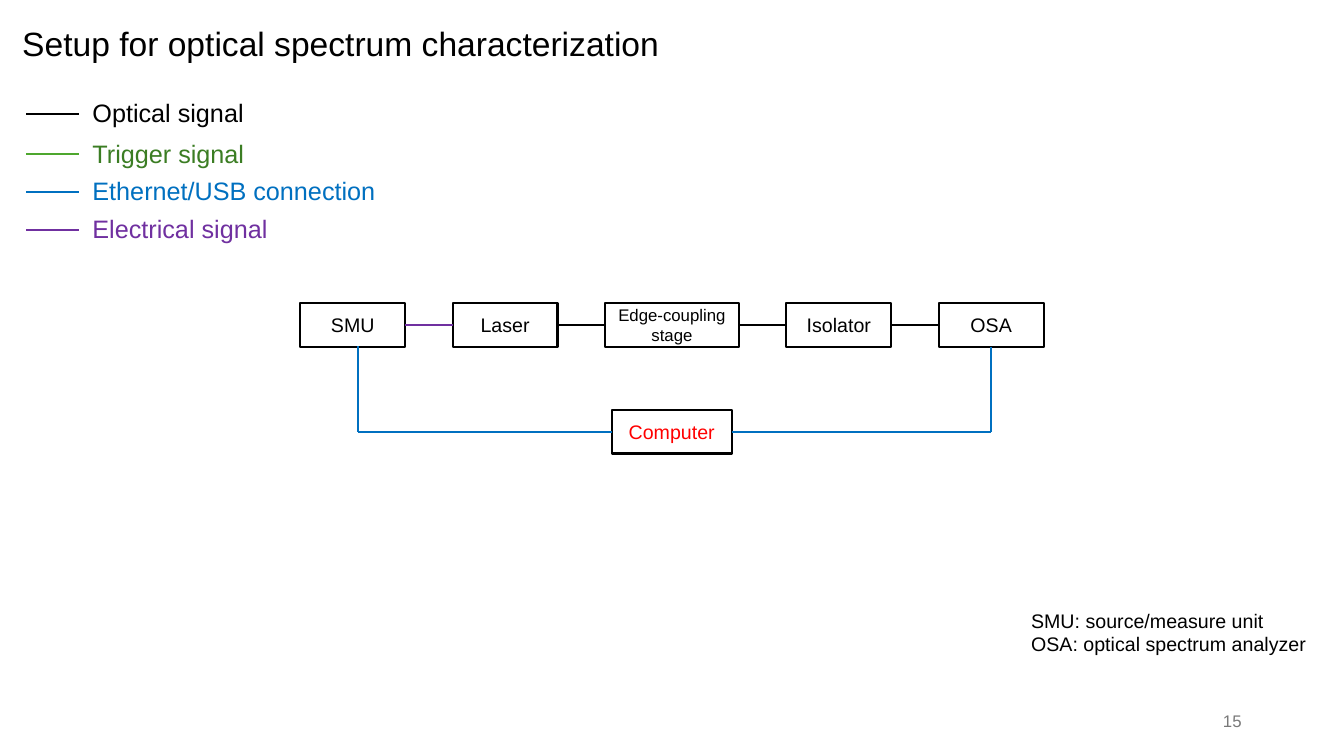
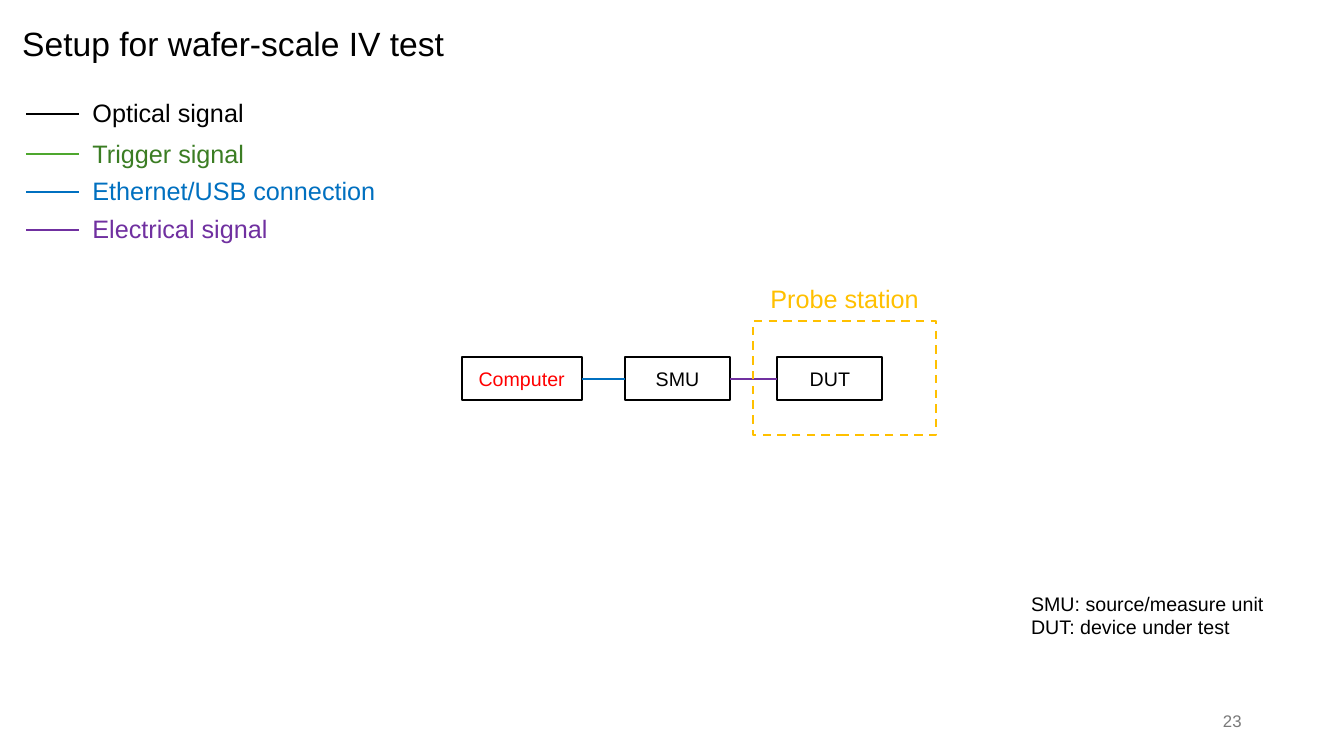
from lxml import etree
from pptx import Presentation
from pptx.dml.color import RGBColor
from pptx.enum.dml import MSO_LINE
from pptx.enum.shapes import MSO_CONNECTOR, MSO_SHAPE
from pptx.enum.text import MSO_ANCHOR, PP_ALIGN
from pptx.oxml.ns import qn
from pptx.util import Pt

BLACK = RGBColor(0x00, 0x00, 0x00)
GREY = RGBColor(0x79, 0x79, 0x79)
GREEN = RGBColor(0x4E, 0xA7, 0x2E)
DARK_GREEN = RGBColor(0x3B, 0x7D, 0x23)
BLUE = RGBColor(0x00, 0x70, 0xC0)
PURPLE = RGBColor(0x70, 0x30, 0xA0)
RED = RGBColor(0xFF, 0x00, 0x00)
AMBER = RGBColor(0xFF, 0xC0, 0x00)

FONT = "Arial"
STRAIGHT = MSO_CONNECTOR.STRAIGHT
RECTANGLE = MSO_SHAPE.RECTANGLE
LEFT, CENTER, RIGHT = PP_ALIGN.LEFT, PP_ALIGN.CENTER, PP_ALIGN.RIGHT
TOP, MIDDLE = MSO_ANCHOR.TOP, MSO_ANCHOR.MIDDLE
LEFT_SIDE, BOTTOM_SIDE, RIGHT_SIDE = 1, 2, 3

LINE_WIDTH = Pt(1.5)
BLOCK_HEIGHT = 31
DEVICE = 75
STAGE = 95.8
COMPUTER = 85.7
GAP = 33.8

# line y, label, line colour, label colour
LEGEND = [
    (81.4, "Optical signal", BLACK, BLACK),
    (110.2, "Trigger signal", GREEN, DARK_GREEN),
    (137.3, "Ethernet/USB connection", BLUE, BLUE),
    (164.4, "Electrical signal", PURPLE, PURPLE),
]

# Each chain: left, top, blocks; each block: name, width, gap and wire to the next
SETUPS = [
    {
        "title": "Setup for optical spectrum characterization",
        "number": "15",
        "terms": ["SMU: source/measure unit", "OSA: optical spectrum analyzer"],
        "terms_top": 431.3,
        "chains": [
            (214.5, 216.7, [
                ("SMU", DEVICE, GAP, PURPLE),
                ("Laser", DEVICE, GAP, BLACK),
                ("Edge-coupling stage", STAGE, GAP, BLACK),
                ("Isolator", DEVICE, GAP, BLACK),
                ("OSA", DEVICE, 0, None),
            ]),
            (437, 293, [("Computer", COMPUTER, 0, None)]),
        ],
    },
    {
        "title": "Setup for wafer-scale IV test",
        "number": "23",
        "terms": ["SMU: source/measure unit", "DUT: device under test"],
        "terms_top": 419,
        "chains": [
            (329.8, 255, [
                ("Computer", COMPUTER, 31, BLUE),
                ("SMU", DEVICE, GAP, PURPLE),
                ("DUT", DEVICE, 0, None),
            ]),
        ],
    },
]


def write(shape, lines, size, color=BLACK, align=LEFT, anchor=TOP):
    frame = shape.text_frame
    frame.word_wrap = True
    frame.vertical_anchor = anchor
    frame.text = "\n".join(lines)
    for paragraph in frame.paragraphs:
        paragraph.alignment = align
        for name, value in {"name": FONT, "size": Pt(size)}.items():
            setattr(paragraph.font, name, value)
        paragraph.font.color.rgb = color


def wire(slide, color, start, end):
    """Draw a line; each end is a point (x, y) or a block with its side (shape, site)."""
    points = [p if isinstance(p[0], (int, float)) else (0, 0) for p in (start, end)]
    line = slide.shapes.add_connector(STRAIGHT, *[Pt(v) for p in points for v in p])
    for target, connect in ((start, line.begin_connect), (end, line.end_connect)):
        if not isinstance(target[0], (int, float)):
            connect(*target)
    line.line.color.rgb = color
    line.line.width = LINE_WIDTH
    etree.SubElement(line._element.spPr, qn("a:effectLst"))


prs = Presentation()
prs.slide_width, prs.slide_height = Pt(960), Pt(540)
blank = prs.slide_layouts[6]

drawn = []
for setup in SETUPS:
    slide = prs.slides.add_slide(blank)
    shapes = slide.shapes
    title = shapes.add_textbox(Pt(8.8), Pt(13), Pt(660), Pt(36))
    write(title, [setup["title"]], 24)
    number = shapes.add_textbox(Pt(678), Pt(500.5), Pt(216), Pt(28.8))
    write(number, [setup["number"]], 12, GREY, RIGHT, MIDDLE)

    for y, label, line_color, label_color in LEGEND:
        wire(slide, line_color, (18.7, y), (56.2, y))
        signal = shapes.add_textbox(Pt(59), Pt(y - 15.3), Pt(219), Pt(29))
        write(signal, [label], 18, label_color)

    blocks = {}
    for left, top, chain in setup["chains"]:
        previous = incoming = None
        for name, width, gap, outgoing in chain:
            block = shapes.add_shape(RECTANGLE, Pt(left), Pt(top), Pt(width), Pt(BLOCK_HEIGHT))
            block.shadow.inherit = False
            block.fill.background()
            block.line.color.rgb = BLACK
            block.line.width = LINE_WIDTH
            write(block, [name], 12 if width == STAGE else 14,
                  RED if name == "Computer" else BLACK, CENTER, MIDDLE)
            if previous is not None:
                wire(slide, incoming, (previous, RIGHT_SIDE), (block, LEFT_SIDE))
            blocks[name] = block
            previous, incoming = block, outgoing
            left += width + gap

    terms = shapes.add_textbox(Pt(729.4), Pt(setup["terms_top"]), Pt(228), Pt(41))
    write(terms, setup["terms"], 14)
    drawn.append((slide, blocks))

# Control loop from the computer to both instruments
spectrum_slide, spectrum = drawn[0]
smu_x, osa_x, loop_y = 255.6, 708, 308.5
wire(spectrum_slide, BLUE, (smu_x, 247.5), (smu_x, loop_y))
wire(spectrum_slide, BLUE, (smu_x, loop_y), (spectrum["Computer"], LEFT_SIDE))
wire(spectrum_slide, BLUE, (spectrum["OSA"], BOTTOM_SIDE), (osa_x, loop_y))
wire(spectrum_slide, BLUE, (spectrum["Computer"], RIGHT_SIDE), (osa_x, loop_y))

# Probe station around the device under test
wafer_slide = drawn[1][0]
station = wafer_slide.shapes.add_shape(RECTANGLE, Pt(538), Pt(229.5), Pt(130.6), Pt(81.4))
station.shadow.inherit = False
station.fill.background()
station.line.color.rgb = AMBER
station.line.width = LINE_WIDTH
station.line.dash_style = MSO_LINE.DASH
station_label = wafer_slide.shapes.add_textbox(Pt(538), Pt(198.7), Pt(130.6), Pt(29))
write(station_label, ["Probe station"], 18, AMBER, CENTER)

prs.save("out.pptx")
